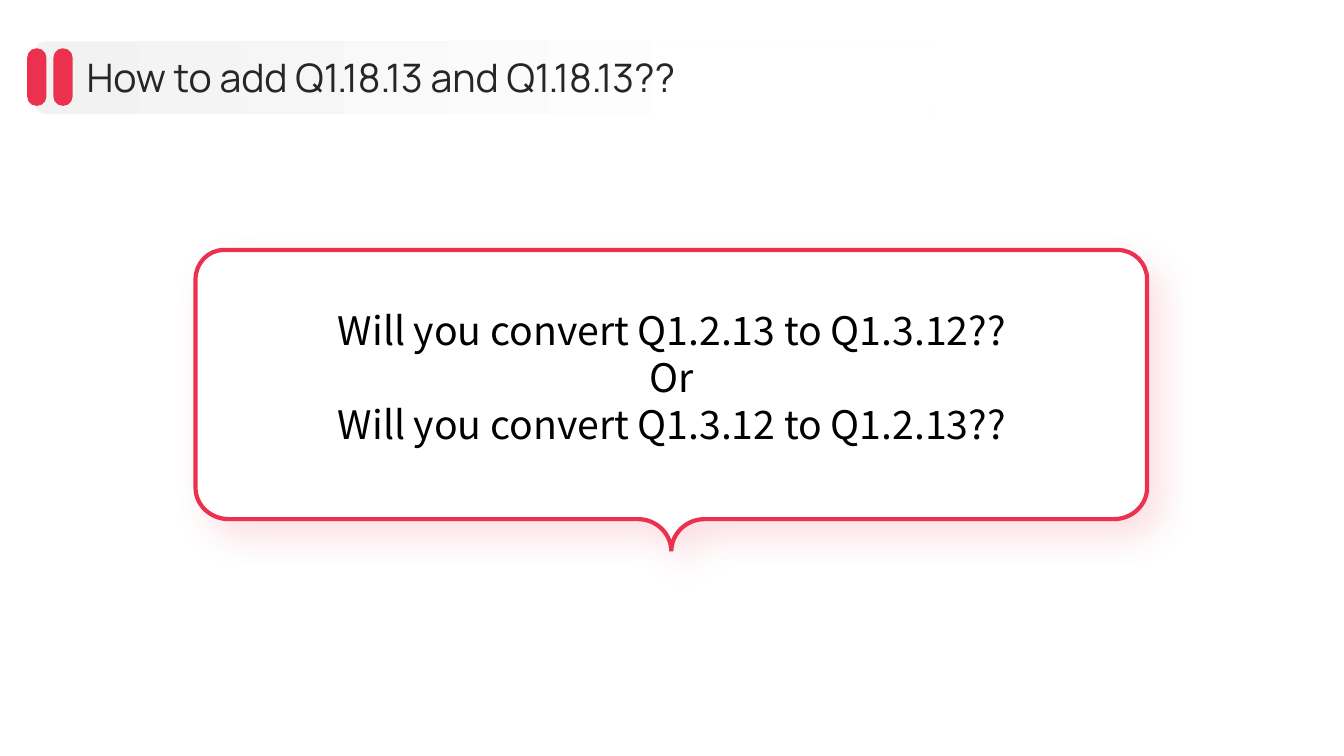
"""Build a question slide with a title bar and an outlined speech bubble."""
from lxml import etree
from pptx import Presentation
from pptx.dml.color import RGBColor
from pptx.enum import shapes, text
from pptx.oxml import ns
from pptx.util import Pt

PX = 9144
THEME = {
    "red": RGBColor.from_string("EC314E"),
    "white": RGBColor.from_string("FFFFFF"),
    "gray": RGBColor.from_string("F2F2F2"),
    "ink": RGBColor.from_string("262626"),
    "black": RGBColor.from_string("000000"),
    "size": Pt(28),
    "line": Pt(3),
    "head": "Manrope",
    "body": "Noto Sans CJK SC",
}


def px(*nums):
    return [round(n * PX) for n in nums]


def write(box, lines, font, color, align):
    frame = slide.shapes.add_textbox(*px(*box)).text_frame
    frame.word_wrap = True
    frame.vertical_anchor = text.MSO_ANCHOR.MIDDLE
    frame.margin_left = frame.margin_right = 0
    frame.margin_top = frame.margin_bottom = 0
    para = frame.paragraphs[0]
    para.alignment = align
    para.font.size = THEME["size"]
    for i, line in enumerate(lines):
        if i:
            para.add_line_break()
        run = para.add_run()
        run.text = line
        run.font.name = font
        run.font.size = THEME["size"]
        run.font.color.rgb = THEME[color]


deck = Presentation()
deck.slide_width, deck.slide_height = px(4000 / 3, 750)
slide = deck.slides.add_slide(deck.slide_layouts[6])

left, top, right, low, mid, tip = 194, 248, 1138, 515, 666, 547
start = (left + 28, top)
legs = [
    ((right - 29, top), None),
    ((right, top + 29), (right, top)),
    ((right, low - 31), None),
    ((right - 33, low), (right, low)),
    ((mid + 33, low), None),
    ((mid, tip), (mid, low)),
    ((mid - 33, low), (mid, low)),
    ((left + 33, low), None),
    ((left, low - 31), (left, low)),
    ((left, top + 29), None),
    (start, (left, top)),
]
pen = slide.shapes.build_freeform(*px(*start), scale=1.0)
pen.add_line_segments([px(*end) for end, corner in legs], close=True)
bubble = pen.convert_to_shape()
lines = list(bubble._element.iter(ns.qn("a:lnTo")))
last = start
for line, (end, corner) in zip(lines, legs):
    if corner:
        curve = etree.Element(ns.qn("a:cubicBezTo"))
        for knot, pull in ((last, 0.55), (end, 0.55), (end, 0)):
            x, y = px(*(k + (c - k) * pull for k, c in zip(knot, corner)))
            etree.SubElement(curve, ns.qn("a:pt"),
                             x=str(x - bubble.left), y=str(y - bubble.top))
        line.getparent().replace(line, curve)
    last = end
bubble.fill.solid()
bubble.fill.fore_color.rgb = THEME["white"]
bubble.line.color.rgb = THEME["red"]
bubble.line.width = THEME["line"]
etree.SubElement(bubble.line._ln, ns.qn("a:miter"), lim="800000")
bubble.shadow.inherit = False
effects = bubble._element.spPr.find(ns.qn("a:effectLst"))
glow = etree.SubElement(
    effects, ns.qn("a:outerShdw"), blurRad=str(Pt(25)), dist=str(Pt(15)),
    dir=str(50 * 60000), algn="tl", rotWithShape="0")
tint = etree.SubElement(glow, ns.qn("a:srgbClr"), val=str(THEME["red"]))
etree.SubElement(tint, ns.qn("a:alpha"), val="15000")

write((253, 279, 827, 190),
      ["Will you convert Q1.2.13 to Q1.3.12??",
       "Or",
       "Will you convert Q1.3.12 to Q1.2.13??"],
      THEME["body"], "black", text.PP_ALIGN.CENTER)

rounds = []
for box, bend in [((35, 41, 894, 72), 0.14),
                  ((27, 48, 19, 57), 0.48),
                  ((53, 48, 19, 57), 0.48)]:
    shape = slide.shapes.add_shape(
        shapes.MSO_SHAPE.ROUNDED_RECTANGLE, *px(*box))
    shape.adjustments[0] = bend
    shape.shadow.inherit = False
    shape.line.fill.background()
    shape.fill.solid()
    shape.fill.fore_color.rgb = THEME["red"]
    rounds.append(shape)

fade = rounds[0].fill
fade.gradient()
fade.gradient_angle = 0
for stop, spot, color in zip(fade.gradient_stops, (0, 0.8), ("gray", "white")):
    stop.position = spot
    stop.color.rgb = THEME[color]

write((86, 51, 1167, 51), ["How to add Q1.18.13 and Q1.18.13??"],
      THEME["head"], "ink", text.PP_ALIGN.LEFT)

deck.save("out.pptx")
